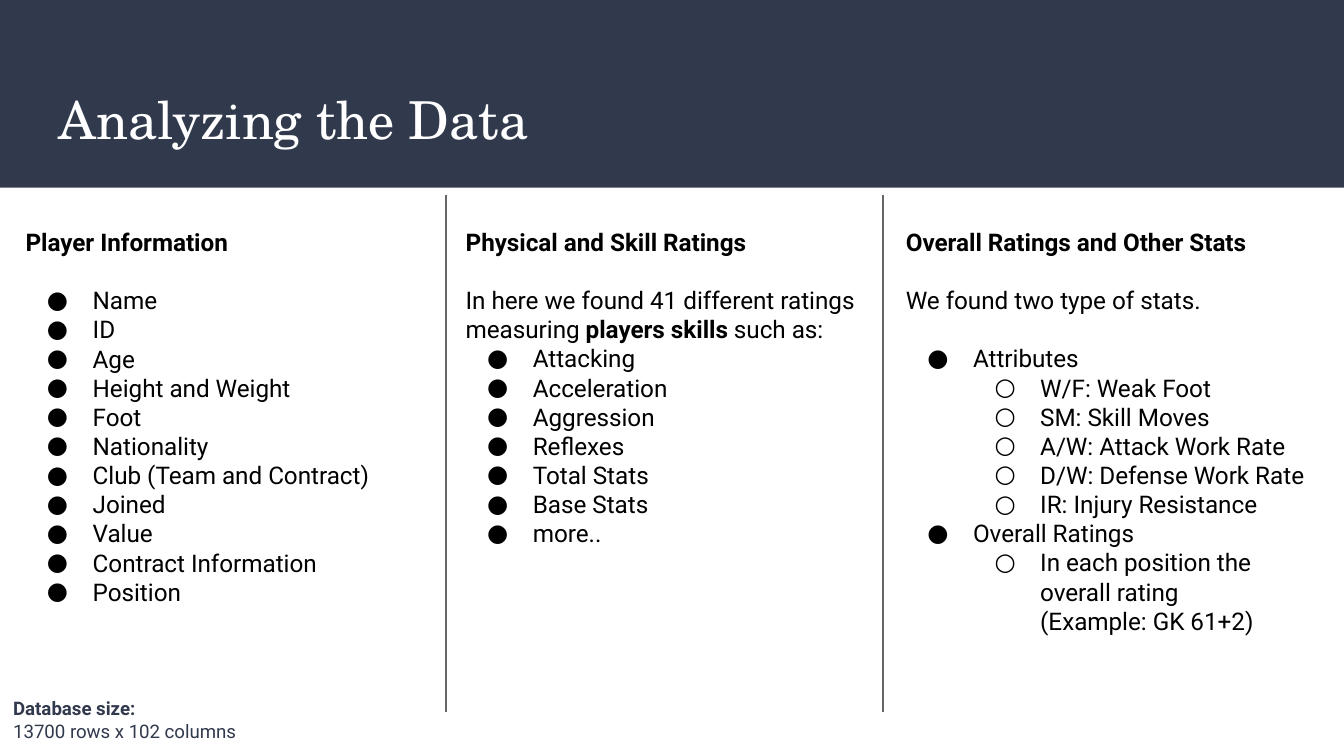
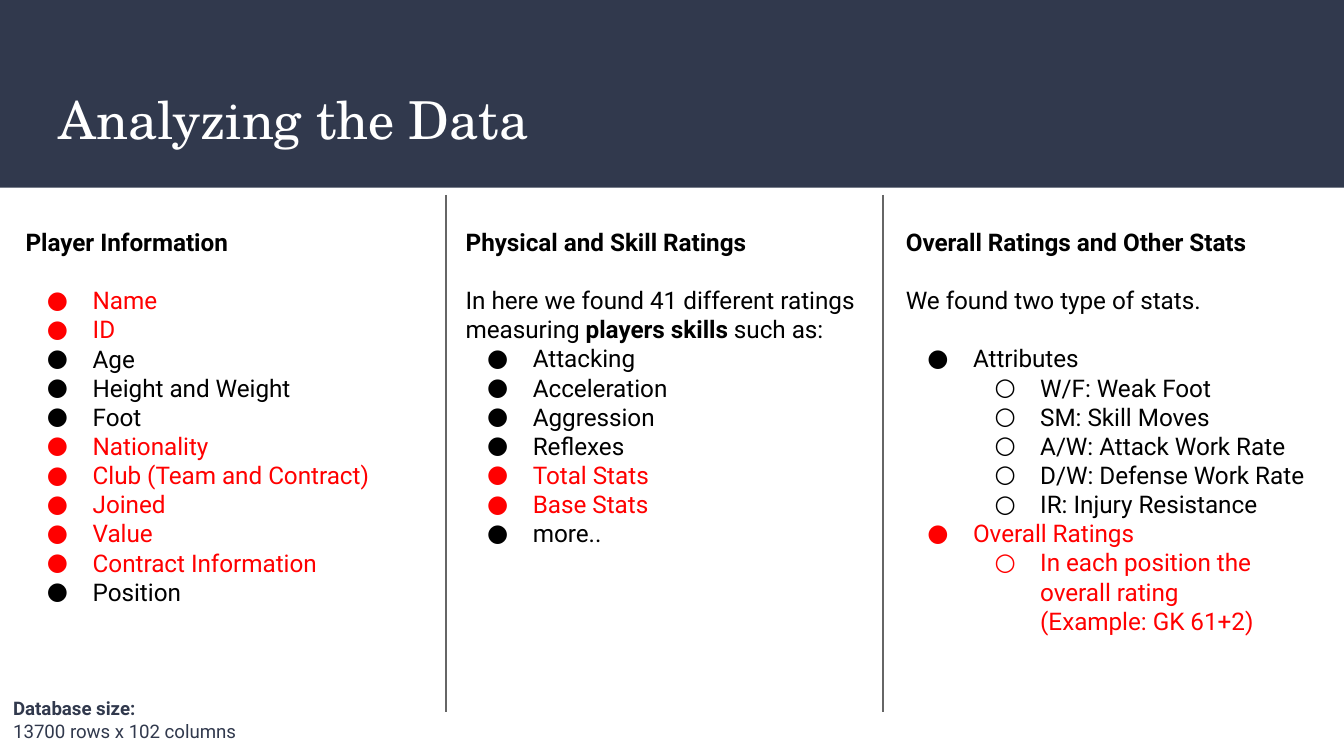
"""Build two slides that list the player data and mark the chosen fields."""
from copy import deepcopy
from lxml.etree import SubElement
from pptx import Presentation
from pptx.dml.color import RGBColor as RGB
from pptx.enum.shapes import MSO_CONNECTOR as LINE, MSO_SHAPE as SHAPE
from pptx.oxml.ns import qn
from pptx.util import Pt

NAVY = RGB(0x31, 0x39, 0x4D)
WHITE = RGB(0xFF, 0xFF, 0xFF)
BLACK = RGB(0, 0, 0)
RED = RGB(0xFF, 0, 0)
GRAY = RGB(0x66, 0x66, 0x66)
SERIF, SANS = "TeX Gyre Schola", "Roboto"

TITLE = "Analyzing the Data"
SIZE = [[(0, "*Database size:*"), (0, "13700 rows x 102 columns")]]
COLS = [
    [
        [(0, "*Player Information*")],
        [(1, "Name"), (1, "ID"), (1, "Age"), (1, "Height and Weight"),
         (1, "Foot"), (1, "Nationality"), (1, "Club (Team and Contract)"),
         (1, "Joined"), (1, "Value"), (1, "Contract Information"),
         (1, "Position")],
    ],
    [
        [(0, "*Physical and Skill Ratings*")],
        [(0, "In here we found 41 different ratings measuring "
             "*players skills* such as:"),
         (1, "Attacking"), (1, "Acceleration"), (1, "Aggression"),
         (1, "Reflexes"), (1, "Total Stats"), (1, "Base Stats"),
         (1, "more..")],
    ],
    [
        [(0, "*Overall Ratings and Other Stats*")],
        [(0, "We found two type of stats.")],
        [(1, "Attributes"), (2, "W/F: Weak Foot"), (2, "SM: Skill Moves"),
         (2, "A/W: Attack Work Rate"), (2, "D/W: Defense Work Rate"),
         (2, "IR: Injury Resistance"), (1, "Overall Ratings"),
         (2, "In each position the overall rating \n(Example: GK 61+2)")],
    ],
]
HOT = {"Name", "ID", "Nationality", "Club (Team and Contract)", "Joined",
       "Value", "Contract Information", "Total Stats", "Base Stats",
       "Overall Ratings", COLS[2][2][-1][1]}
MARKS = [set(), HOT]

LEFT, STEP, TOP, WIDE = 6.6, 235.8, 114.5, 233.3
TALL = [250.6, 203.8, 235.4]
RULES = [239, 473]
GAP = 15.6


def style(run, font, size, color, bold=False):
    run.font.name, run.font.size = font, Pt(size)
    run.font.color.rgb, run.font.bold = color, bold


def bullet(para, level, color):
    para.level = level - 1
    props = para._p.get_or_add_pPr()
    props.set("marL", str(Pt(36 * level)))
    props.set("indent", str(Pt(-24.5)))
    tint = SubElement(props, qn("a:buClr"))
    SubElement(tint, qn("a:srgbClr"), val=str(color))
    SubElement(props, qn("a:buFont"), typeface=SANS)
    SubElement(props, qn("a:buChar"), char="●○"[level - 1])


def write(para, text, font, size, color):
    for i, part in enumerate(text.split("*")):
        for j, line in enumerate(part.split("\n")):
            if j:
                para.add_line_break()
            if line:
                run = para.add_run()
                run.text = line
                style(run, font, size, color, i % 2 == 1)
    for brk in para._p.findall(qn("a:br")):
        brk.append(deepcopy(para.runs[0].font._element))


def add_text(slide, box, blocks, font, size, color, hot=()):
    frame = slide.shapes.add_textbox(*map(Pt, box)).text_frame
    frame.word_wrap = True
    frame.margin_left = frame.margin_right = Pt(7.2)
    frame.margin_top = frame.margin_bottom = Pt(7.2)
    para = None
    for block in blocks:
        for n, (level, text) in enumerate(block):
            first = para is None
            para = frame.paragraphs[0] if first else frame.add_paragraph()
            tone = RED if text in hot else color
            if n == 0 and not first:
                para.space_before = Pt(GAP)
            if level:
                bullet(para, level, tone)
            write(para, text, font, size, tone)


def add_base(slide):
    band = slide.shapes.add_shape(SHAPE.RECTANGLE, 0, 0, Pt(720), Pt(100.6))
    band.shadow.inherit = False
    band.fill.solid()
    band.fill.fore_color.rgb = NAVY
    band.line.fill.background()
    add_text(slide, (24.5, 39.4, 671, 49), [[(0, TITLE)]], SERIF, 28, WHITE)
    add_text(slide, (0, 366.3, 199.4, 38.7), SIZE, SANS, 10, NAVY)


def add_rule(slide, x):
    rule = slide.shapes.add_connector(
        LINE.STRAIGHT, Pt(x), Pt(104.4), Pt(x), Pt(381.6))
    rule.line.color.rgb, rule.line.width = GRAY, Pt(0.75)
    SubElement(rule._element.spPr, qn("a:effectLst"))


def main():
    deck = Presentation()
    deck.slide_width, deck.slide_height = Pt(720), Pt(405)
    for hot in MARKS:
        slide = deck.slides.add_slide(deck.slide_layouts[6])
        add_base(slide)
        for i, (col, tall) in enumerate(zip(COLS, TALL)):
            box = (LEFT + i * STEP, TOP, WIDE, tall)
            add_text(slide, box, col, SANS, 13, BLACK, hot)
        for x in RULES:
            add_rule(slide, x)
    deck.save("out.pptx")


if __name__ == "__main__":
    main()
